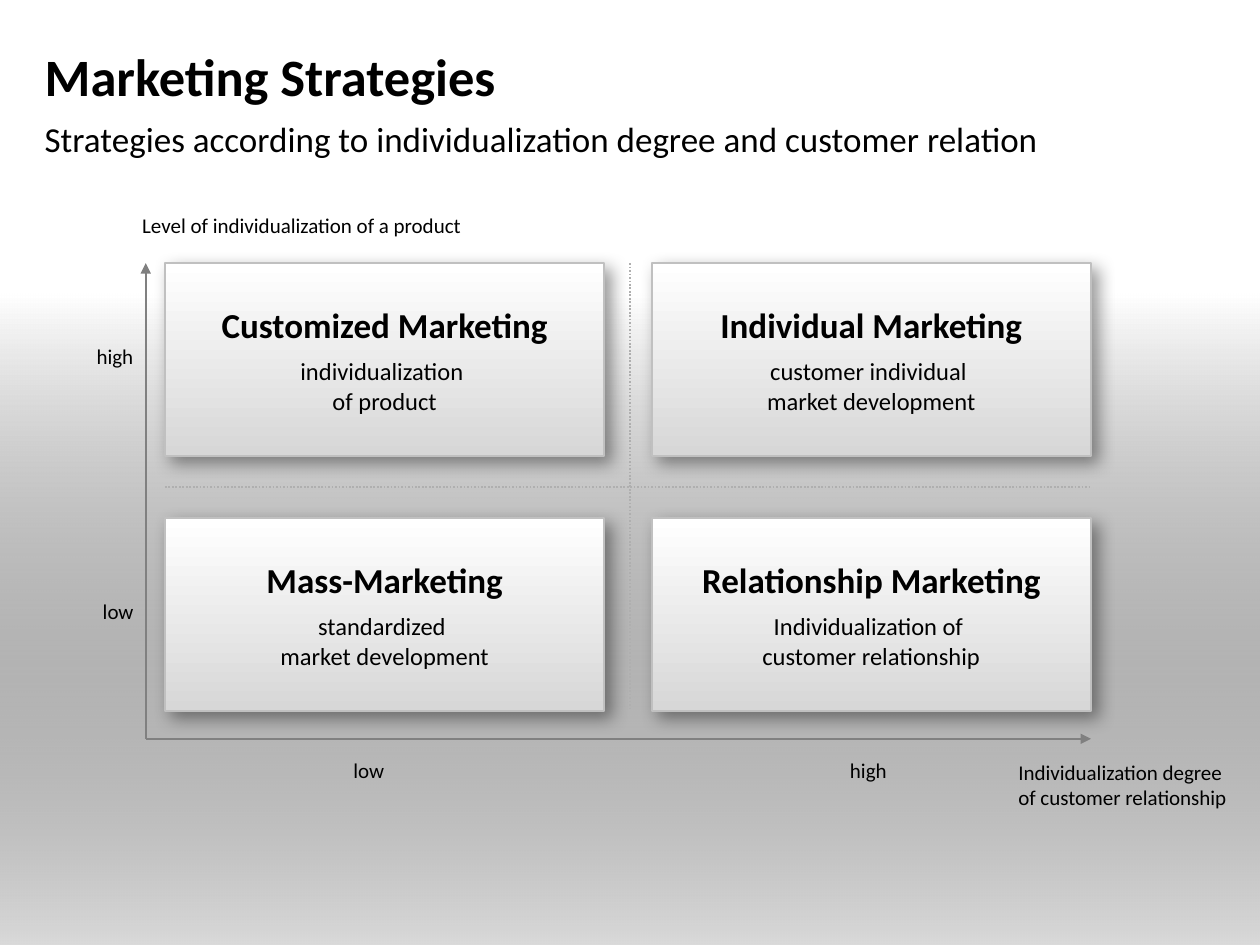
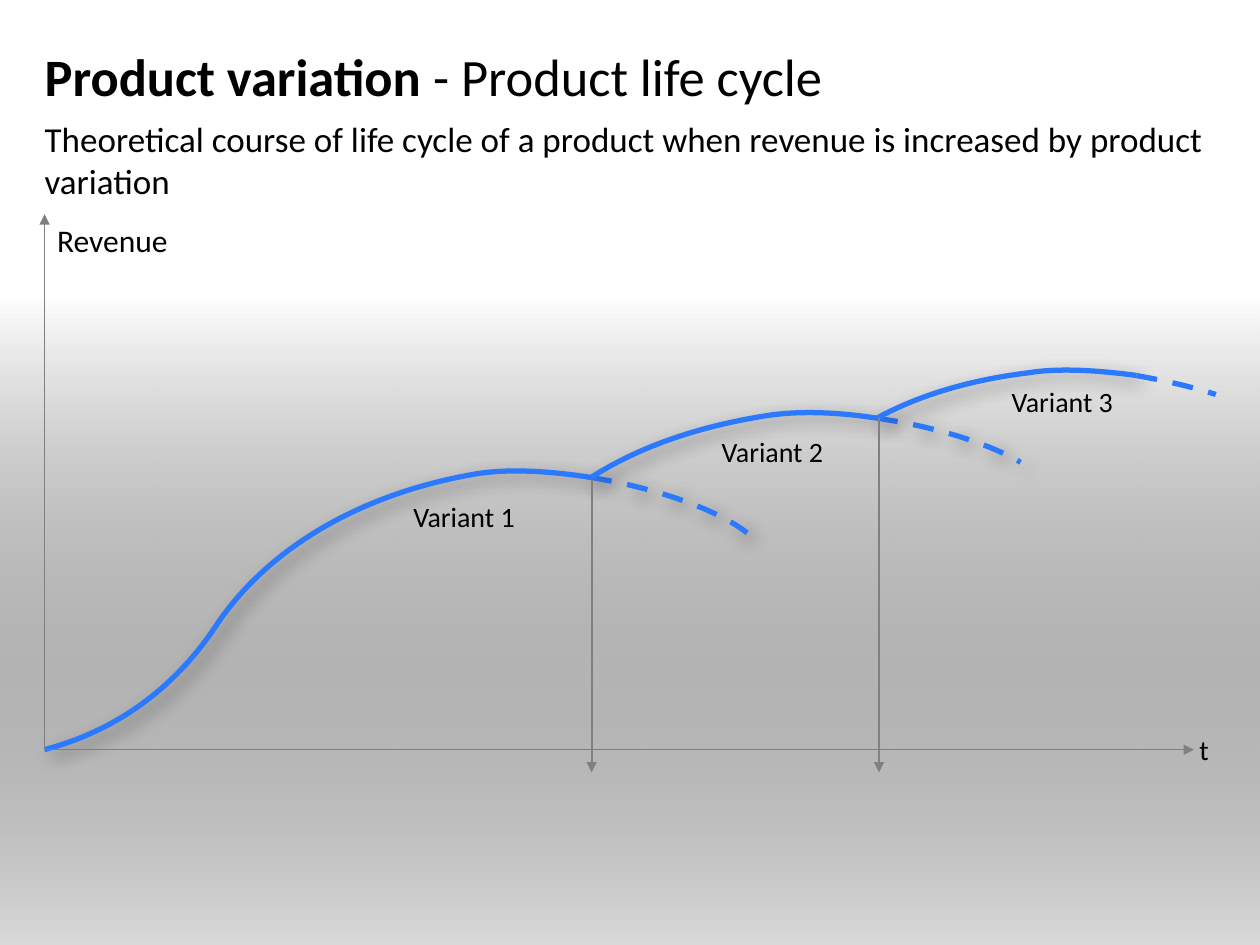
import pptx
import pptx.util
import pptx.dml.color
import pptx.enum.dml
import pptx.enum.shapes
import pptx.enum.text
import pptx.oxml
import pptx.oxml.ns

Pt = pptx.util.Pt
ALIGN = pptx.enum.text.PP_ALIGN
DASH = pptx.enum.dml.MSO_LINE
qn = pptx.oxml.ns.qn

# Shared style
FONT = "Calibri"
BLACK, WHITE, BLUE = "000000", "FFFFFF", "2A79FF"
AXIS, DIVIDER, CARD_EDGE, CARD_FOOT = "808080", "AFAFAF", "C0C0C0", "D7D7D7"
MARGIN, CONTENT_W = 25.5, 669

# Slide 1: title, cards by row and column, axis labels
STRATEGY_TITLE = [("Marketing Strategies", True)]
STRATEGY_SUBTITLE = "Strategies according to individualization degree and customer relation"
STRATEGIES = [
    [("Customized Marketing", "individualization \nof product"),
     ("Individual Marketing", "customer individual \nmarket development")],
    [("Mass-Marketing", "standardized \nmarket development"),
     ("Relationship Marketing", "Individualization of \ncustomer relationship")],
]
# text, left, top, width, height, alignment
STRATEGY_LABELS = [
    ("Level of individualization of a product", 74.2, 118, 198.7, 21.8, ALIGN.LEFT),
    ("Individualization degree \nof customer relationship", 574.8, 430.6, 134.6, 36.3, ALIGN.LEFT),
    ("low", 194.8, 429.5, 32.4, 21.8, ALIGN.LEFT),
    ("high", 478.6, 429.5, 35.3, 21.8, ALIGN.LEFT),
    ("low", 51, 338.4, 32.4, 21.8, ALIGN.RIGHT),
    ("high", 48, 192.8, 35.3, 21.8, ALIGN.RIGHT),
]
CARD_LEFT, CARD_TOP, CARD_W, CARD_H = 94.3, 150.4, 251, 110
COL_STEP, ROW_STEP = 278.1, 145.7

# Slide 2: each variant has a label place, a Bezier course and its dashed decline
CYCLE_TITLE = [("Product variation ", True), ("- Product life cycle", False)]
CYCLE_SUBTITLE = ("Theoretical course of life cycle of a product when revenue "
                  "is increased by product variation")
VARIANTS = [
    ("Variant 1", (236.2, 285.4),
     [(25.4, 428.4), (64.1, 418.3), (98.6, 395.3), (123.8, 357.1), (149.8, 318.2),
      (199.4, 283), (272.9, 270.7), (291.6, 267.8), (314.6, 269.3), (337.7, 272.9)],
     [(373.7, 278.6), (409.7, 290.9), (427, 304.6)]),
    ("Variant 2", (412.4, 248.4),
     [(337.7, 272.9), (363.6, 256.3), (396.7, 244.1), (437.8, 237.6),
      (455.8, 234.7), (478.1, 235.4), (501.1, 239)],
     [(532.1, 243.4), (563.8, 252.7), (583.2, 264.2)]),
    ("Variant 3", (578, 219.6),
     [(501.1, 239), (523.4, 226.8), (552.2, 217.4), (587.5, 213.1),
      (604.8, 210.2), (627.8, 211.7), (649.4, 214.6)],
     [(665.3, 217.4), (681.1, 221), (694.8, 225.4)]),
]
CYCLE_AXES = [((25.5, 428.4), (25.5, 122.4)), ((25.5, 428.4), (682.3, 428.4))]
VARIANT_STARTS = [((338.1, 274.3), (338.1, 441.4)), ((502.3, 238.3), (502.3, 441.4))]


def rgb(color):
    return pptx.dml.color.RGBColor.from_string(color)


def box(left, top, width, height):
    return Pt(left), Pt(top), Pt(width), Pt(height)


def style(p, size, bold=None, align=ALIGN.LEFT):
    p.alignment = align
    p.font.name, p.font.size, p.font.bold = FONT, Pt(size), bold
    p.font.color.rgb = rgb(BLACK)


def set_insets(tf, side, top):
    tf.margin_left = tf.margin_right = Pt(side)
    tf.margin_top = tf.margin_bottom = Pt(top)


def add_xml(parent, tag, **attributes):
    child = parent.makeelement(qn(tag), attributes)
    parent.append(child)
    return child


def add_shadow(sp):
    sp.shadow.inherit = False
    effects = sp.element.spPr.find(qn("a:effectLst"))
    shadow = add_xml(effects, "a:outerShdw", blurRad=str(Pt(10)), dist=str(Pt(5)),
                     dir="2700000", algn="tl", rotWithShape="0")
    add_xml(add_xml(shadow, "a:srgbClr", val=BLACK), "a:alpha", val="40000")


def add_gradient_rect(slide, bounds, bottom, top):
    sp = slide.shapes.add_shape(pptx.enum.shapes.MSO_SHAPE.RECTANGLE, *box(*bounds))
    sp.fill.gradient()
    sp.fill.gradient_angle = 90
    for stop, color in zip(sp.fill.gradient_stops, (bottom, top)):
        stop.color.rgb = rgb(color)
    return sp


def add_line(slide, start, end, color, width=1, arrow=False, dash=None):
    line = slide.shapes.add_connector(pptx.enum.shapes.MSO_CONNECTOR.STRAIGHT,
                                      *map(Pt, (*start, *end)))
    line.line.color.rgb, line.line.width = rgb(color), Pt(width)
    if dash:
        line.line.dash_style = dash
    if arrow:
        add_xml(line.element.spPr.find(qn("a:ln")), "a:tailEnd", type="triangle")
    add_xml(line.element.spPr, "a:effectLst")


def add_label(slide, text, bounds, size, align=ALIGN.LEFT, insets=(7.2, 3.6)):
    tf = slide.shapes.add_textbox(*box(*bounds)).text_frame
    tf.word_wrap = False
    tf.auto_size = pptx.enum.text.MSO_AUTO_SIZE.SHAPE_TO_FIT_TEXT
    set_insets(tf, *insets)
    p = tf.paragraphs[0]
    p.text = text.replace("\n", "\v")
    style(p, size, align=align)


def add_card(slide, bounds, heading, detail):
    sp = add_gradient_rect(slide, bounds, CARD_FOOT, WHITE)
    sp.line.color.rgb, sp.line.width = rgb(CARD_EDGE), Pt(1)
    add_shadow(sp)
    tf = sp.text_frame
    tf.word_wrap = True
    tf.vertical_anchor = pptx.enum.text.MSO_ANCHOR.MIDDLE
    set_insets(tf, 11.5, 0)
    for p, text, size, bold in ((tf.paragraphs[0], heading, 20, True),
                                (tf.add_paragraph(), detail, 14, False)):
        p.text = text.replace("\n", "\v")
        p.space_after = Pt(6)
        style(p, size, bold, ALIGN.CENTER)


def add_curve(slide, controls, dash=None, shadow=True):
    """Draw a chain of cubic Beziers: a start, then three points a segment."""
    points = [(Pt(x), Pt(y)) for x, y in controls]
    builder = slide.shapes.build_freeform(*points[0])
    builder.add_line_segments(points[1:], close=False)
    sp = builder.convert_to_shape()
    # Join every three straight steps into one curve
    outline = next(sp.element.iter(qn("a:path")))
    steps = outline.findall(qn("a:lnTo"))
    for i in range(0, len(steps), 3):
        curve = add_xml(outline, "a:cubicBezTo")
        for step in steps[i:i + 3]:
            curve.append(step[0])
            outline.remove(step)
    sp.fill.background()
    sp.line.color.rgb, sp.line.width = rgb(BLUE), Pt(3)
    if dash:
        sp.line.dash_style = dash
    if shadow:
        add_shadow(sp)
    else:
        sp.shadow.inherit = False


def add_slide(prs, title, subtitle):
    slide = prs.slides.add_slide(prs.slide_layouts[1])
    heading, body = slide.placeholders
    for sp, top, height, anchor in (
            (heading, 19, 48.2, pptx.enum.text.MSO_ANCHOR.MIDDLE),
            (body, 67.3, 26.6, pptx.enum.text.MSO_ANCHOR.TOP)):
        sp.left, sp.top, sp.width, sp.height = box(MARGIN, top, CONTENT_W, height)
        tf = sp.text_frame
        tf.word_wrap = True
        tf.auto_size = pptx.enum.text.MSO_AUTO_SIZE.NONE
        tf.vertical_anchor = anchor
        set_insets(tf, 0, 0)
    p = heading.text_frame.paragraphs[0]
    style(p, 30)
    for text, bold in title:
        r = p.add_run()
        r.text, r.font.bold = text, bold
    p = body.text_frame.paragraphs[0]
    p.text = subtitle
    p.space_before = Pt(0)
    pPr = next(body.element.iter(qn("a:pPr")))
    pPr.set("marL", "0")
    pPr.set("indent", "0")
    add_xml(pPr, "a:buNone")
    style(p, 20)
    return slide


def add_master_band(slide):
    """Fading band behind the content, kept on the slide master."""
    band = add_gradient_rect(slide, (0, 167.8, 720, 372.2), BLACK, WHITE)
    band.line.fill.background()
    band.shadow.inherit = False
    bottom_color = next(band.element.spPr.iter(qn("a:srgbClr")))
    add_xml(bottom_color, "a:alpha", val="15000")
    slide.slide_layout.slide_master.shapes.element.insert(2, band.element)


def build_strategies(prs):
    slide = add_slide(prs, STRATEGY_TITLE, STRATEGY_SUBTITLE)
    add_master_band(slide)
    right = CARD_LEFT + COL_STEP + CARD_W
    bottom = CARD_TOP + ROW_STEP + CARD_H
    # Axes
    origin = (83.3, 422.2)
    for end in ((origin[0], CARD_TOP), (right, origin[1])):
        add_line(slide, origin, end, AXIS, arrow=True)
    # Cards
    for row, cards in enumerate(STRATEGIES):
        for col, (heading, detail) in enumerate(cards):
            bounds = (CARD_LEFT + col * COL_STEP, CARD_TOP + row * ROW_STEP, CARD_W, CARD_H)
            add_card(slide, bounds, heading, detail)
    # Dividers and labels
    middle = CARD_TOP + (ROW_STEP + CARD_H) / 2
    for start, end in (((360, CARD_TOP), (360, bottom)),
                       ((CARD_LEFT, middle), (right, middle))):
        add_line(slide, start, end, DIVIDER, dash=DASH.ROUND_DOT)
    for text, *bounds, align in STRATEGY_LABELS:
        add_label(slide, text, bounds, 12, align)


def build_life_cycle(prs):
    slide = add_slide(prs, CYCLE_TITLE, CYCLE_SUBTITLE)
    # Curves
    for variant in VARIANTS:
        _, _, course, decline = variant
        add_curve(slide, course)
        add_curve(slide, [course[-1], *decline], DASH.DASH, shadow=variant is not VARIANTS[-1])
    # Axes and variant starts
    for lines, width in ((CYCLE_AXES, 0.75), (VARIANT_STARTS, 1)):
        for start, end in lines:
            add_line(slide, start, end, AXIS, width, arrow=True)
    # Labels
    for name, place, _, _ in VARIANTS:
        add_label(slide, name, (*place, 58.3, 19.4), 16, insets=(0, 0))
    add_label(slide, "t", (685.4, 418.7, 5.8, 19.4), 16, insets=(0, 0))
    add_label(slide, "Revenue", (25.6, 122.7, 78.5, 28.8), 18)


def main():
    prs = pptx.Presentation()
    prs.slide_width, prs.slide_height = Pt(720), Pt(540)
    build_strategies(prs)
    build_life_cycle(prs)
    prs.save("out.pptx")


if __name__ == "__main__":
    main()
